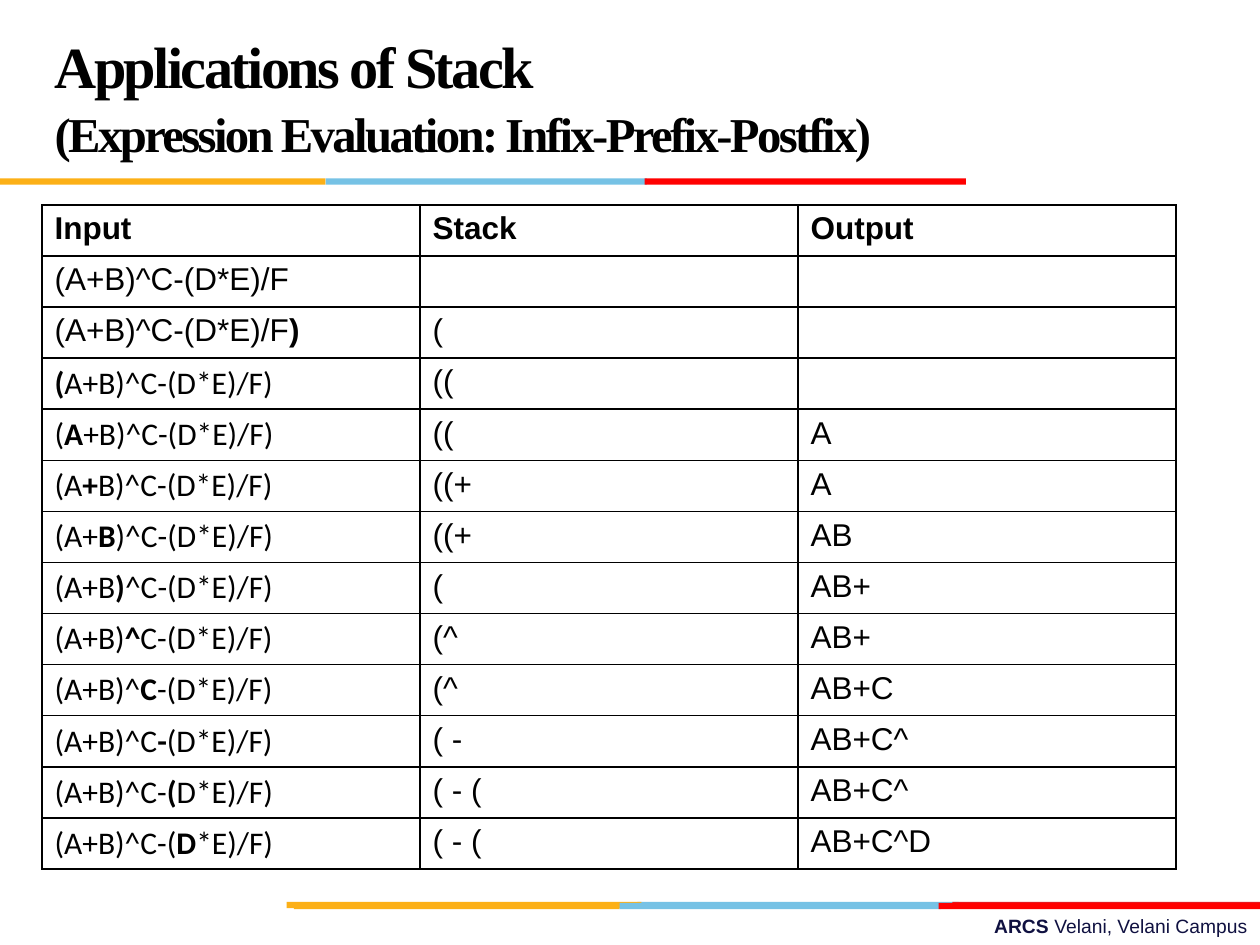
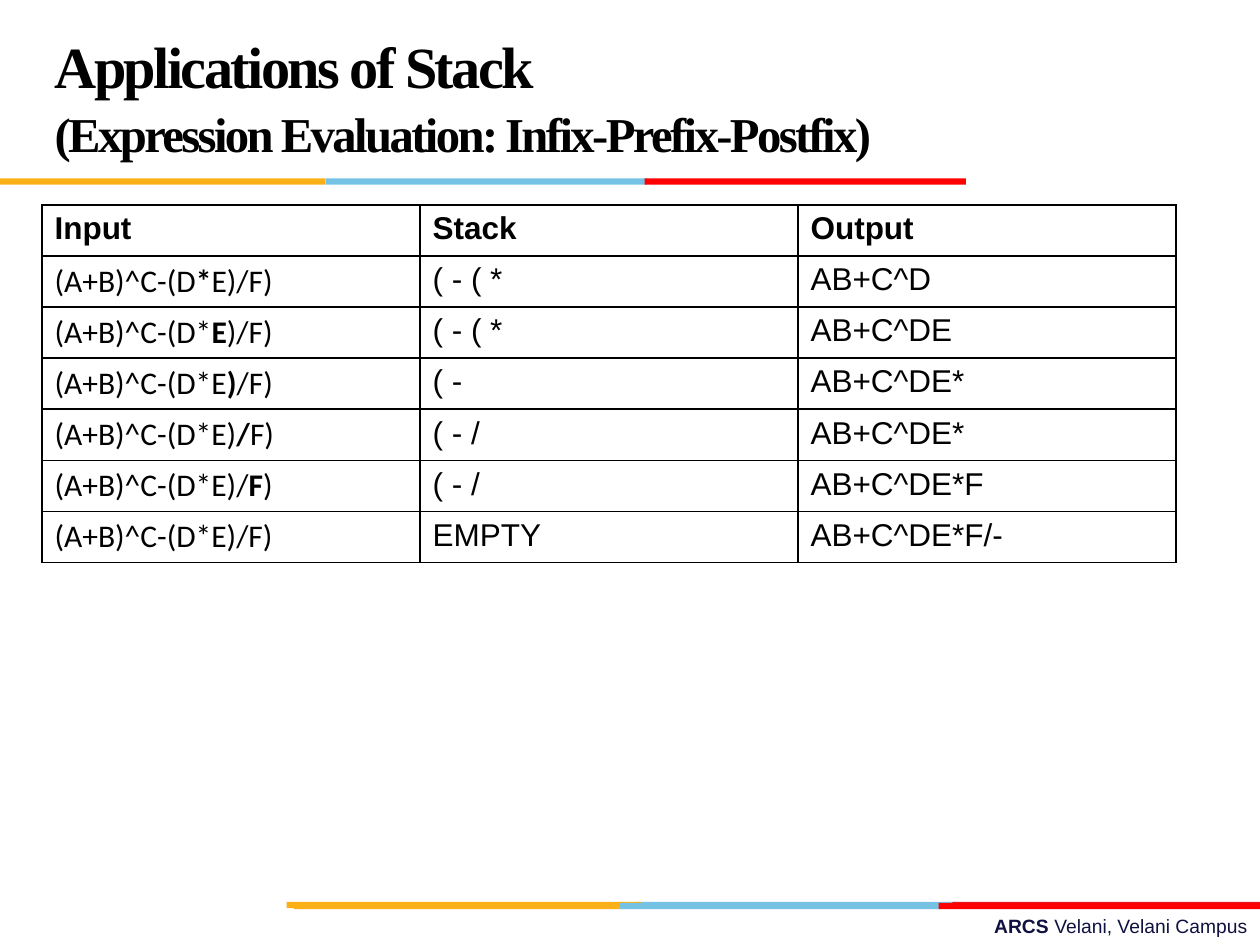
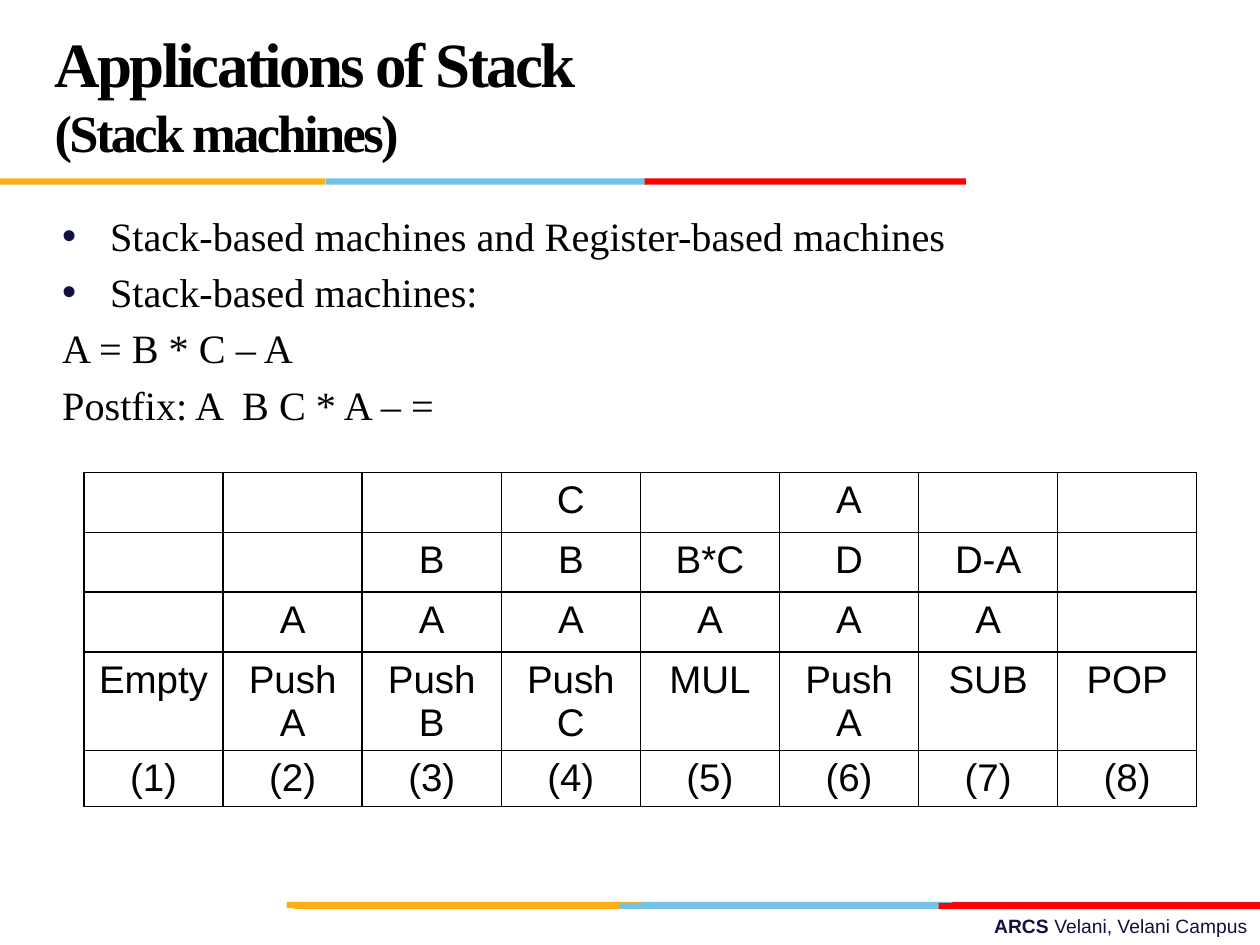
from lxml import etree
from pptx import Presentation
from pptx import util as u
from pptx.dml.color import RGBColor
from pptx.enum import shapes, text
from pptx.oxml import ns

COLUMNS, ROWS = 120, 90
CELL = u.Inches(10) // COLUMNS

BLACK, NAVY = "000000", "101141"
AMBER, SKY, RED, CRIMSON = "FCB017", "76C2E5", "FF0000", "E31C24"
SERIF, SANS, MATH = "Times New Roman", "Arial", "Calibri"

TITLE_BOX = (4, 2, 83, 15)
BODY_BOX = (4, 19.5, 108, 59.4)
STACK_BOX = (8, 45, 106, 31.7)
FOOTER_BOX = (43, 86.5, 77, 3.5)
BAND_HEIGHT = 0.6
BANDS = [
    (85.9, [(60.7, 30.6, SKY), (90.7, 29.3, CRIMSON), (27.3, 33.8, AMBER)]),
    (86, [(59, 30.6, SKY), (28, 31, AMBER), (89.4, 30.6, RED)]),
    (17, [(31, 30.6, SKY), (0, 31, AMBER), (61.4, 30.6, RED)]),
]

EXPRESSION = "(A+B)^C-(D*E)/F)"
HEADINGS = ["Input", "Stack", "Output"]
STEPS = [
    ("((", ""), ("((", "A"), ("((+", "A"), ("((+", "AB"), ("(", "AB+"),
    ("(^", "AB+"), ("(^", "AB+C"), ("( -", "AB+C^"), ("( - (", "AB+C^"),
    ("( - (", "AB+C^D"), ("( - ( *", "AB+C^D"), ("( - ( *", "AB+C^DE"),
    ("( -", "AB+C^DE*"), ("( - /", "AB+C^DE*"), ("( - /", "AB+C^DE*F"),
    ("EMPTY", "AB+C^DE*F/-"),
]
FIRST_PAGE_STEPS = 10

MACHINE_STACK = [
    ["", "", "", "C", "", "A", "", ""],
    ["", "", "B", "B", "B*C", "D", "D-A", ""],
    ["", "A", "A", "A", "A", "A", "A", ""],
    ["Empty", "Push A", "Push B", "Push C", "MUL", "Push A", "SUB", "POP"],
    [f"({number})" for number in range(1, 9)],
]
MACHINE_ROWS = [5.7, 5.7, 5.7, 9.3, 5.3]
MACHINE_POINTS = [
    ("Stack-based machines and Register-based machines", True),
    ("Stack-based machines:", True),
    ("A = B * C – A", False),
    ("Postfix: A  B C * A – =", False),
]


def grid(*lengths):
    return [round(length * CELL) for length in lengths]


def color(value):
    return RGBColor.from_string(value)


def add_child(parent, tag, **attributes):
    child = etree.SubElement(parent, ns.qn(tag))
    for key, value in attributes.items():
        child.set(key, value)
    return child


def write(paragraph, words, size, font=SANS, bold=False, ink=BLACK):
    run = paragraph.add_run()
    run.text = words
    run.font.size = u.Pt(size)
    run.font.name = font
    run.font.bold = bold
    run.font.color.rgb = color(ink)
    return run


def move(shape, box):
    shape.left, shape.top, shape.width, shape.height = grid(*box)


def add_bands(slide, top, bands):
    group = slide.shapes.add_group_shape()
    for left, width, fill in bands:
        band = group.shapes.add_shape(
            shapes.MSO_SHAPE.RECTANGLE, *grid(left, top, width, BAND_HEIGHT))
        band.shadow.inherit = False
        band.fill.solid()
        band.fill.fore_color.rgb = color(fill)
        band.line.fill.background()
    return group


def add_campus(slide, box):
    campus = slide.shapes.add_textbox(*grid(*box))
    campus.text_frame.word_wrap = True
    line = campus.text_frame.paragraphs[0]
    line.alignment = text.PP_ALIGN.RIGHT
    write(line, "ARCS ", 11, bold=True, ink=NAVY)
    write(line, "Velani, Velani Campus", 11, ink=NAVY)
    return campus


def dress_layout(layout, slide):
    for placeholder in list(layout.placeholders):
        if placeholder.placeholder_format.idx >= 10:
            layout.shapes.element.remove(placeholder.element)
    decor = [add_campus(slide, FOOTER_BOX)]
    decor += [add_bands(slide, top, bands) for top, bands in BANDS]
    for part in decor:
        layout.shapes.element.append(part.element)


def set_title(slide, subtitle, sizes):
    title = slide.shapes.title
    move(title, TITLE_BOX)
    frame = title.text_frame
    frame.auto_size = text.MSO_AUTO_SIZE.NONE
    frame.vertical_anchor = text.MSO_ANCHOR.MIDDLE
    lines = [frame.paragraphs[0], frame.add_paragraph()]
    for line, words, size in zip(lines, ["Applications of Stack", subtitle], sizes):
        line.alignment = text.PP_ALIGN.LEFT
        line.line_spacing = u.Pt(36)
        run = write(line, words, size, SERIF, bold=True)
        run.font._element.set("spc", "-150")


def set_points(slide, box, points):
    body = slide.placeholders[1]
    move(body, box)
    frame = body.text_frame
    frame.auto_size = text.MSO_AUTO_SIZE.NONE
    for index, (words, bulleted) in enumerate(points):
        line = frame.add_paragraph() if index else frame.paragraphs[0]
        line.alignment = text.PP_ALIGN.JUSTIFY
        margin, indent = (0.44, -0.38) if bulleted else (0.06, 0)
        layout = line._p.get_or_add_pPr()
        layout.set("marL", str(u.Inches(margin)))
        layout.set("indent", str(u.Inches(indent)))
        if bulleted:
            add_child(add_child(layout, "a:buClr"), "a:srgbClr", val=NAVY)
        else:
            add_child(layout, "a:buNone")
        write(line, words, 23, SERIF)


def outline(cell):
    properties = cell._tc.get_or_add_tcPr()
    for side in ("a:lnL", "a:lnR", "a:lnT", "a:lnB"):
        edge = add_child(properties, side, w=str(u.Pt(1)))
        add_child(add_child(edge, "a:solidFill"), "a:srgbClr", val=BLACK)
    cell.fill.background()


def add_grid_table(slide, box, heights, column_count):
    table = slide.shapes.add_table(len(heights), column_count, *grid(*box)).table
    table.first_row = table.horz_banding = False
    for row, height in zip(table.rows, heights):
        row.height = grid(height)[0]
    for cell in table.iter_cells():
        outline(cell)
    return table


def marked(position):
    last = len(EXPRESSION) - 1
    if position == last:
        return [(EXPRESSION, MATH, False)]
    pieces = [(EXPRESSION[:position], False), (EXPRESSION[position], True),
              (EXPRESSION[position + 1:], False)]
    return [(words, MATH, bold) for words, bold in pieces if words]


def plain(words, bold=False):
    return [(words, SANS, bold)] if words else []


def add_trace(slide, box, rows):
    left, top, width, height = box
    table = add_grid_table(slide, (left, top, width, height * len(rows)),
                           [height] * len(rows), len(HEADINGS))
    for row, entries in enumerate(rows):
        for column, runs in enumerate(entries):
            line = table.cell(row, column).text_frame.paragraphs[0]
            for words, font, bold in runs:
                write(line, words, 18, font, bold)


def add_machine(slide, box):
    table = add_grid_table(slide, box, MACHINE_ROWS, len(MACHINE_STACK[0]))
    for row, entries in enumerate(MACHINE_STACK):
        for column, words in enumerate(entries):
            line = table.cell(row, column).text_frame.paragraphs[0]
            line.alignment = text.PP_ALIGN.CENTER
            if words:
                write(line, words, 22)


def trace_slide(slide, rows):
    set_title(slide, "(Expression Evaluation: Infix-Prefix-Postfix)", (33.3, 27.8))
    body = slide.placeholders[1]
    slide.shapes.element.remove(body.element)
    heading = [plain(words, True) for words in HEADINGS]
    left, top, width, _ = BODY_BOX
    add_trace(slide, (left, top, width, 4.87), [heading] + rows)


def machine_slide(slide):
    set_title(slide, "(Stack machines)", (36, 30))
    set_points(slide, BODY_BOX, MACHINE_POINTS)
    add_machine(slide, STACK_BOX)


def main():
    deck = Presentation()
    deck.slide_width, deck.slide_height = grid(COLUMNS, ROWS)
    layout = deck.slide_layouts[1]
    first, second, third = [deck.slides.add_slide(layout) for _ in range(3)]
    dress_layout(layout, first)

    infix, closing = EXPRESSION[:-1], EXPRESSION[-1]
    opening = [
        [plain(infix), [], []],
        [plain(infix) + plain(closing, True), plain("("), []],
    ]
    steps = [[marked(position), plain(stack), plain(output)]
             for position, (stack, output) in enumerate(STEPS)]
    trace_slide(first, opening + steps[:FIRST_PAGE_STEPS])
    trace_slide(second, steps[FIRST_PAGE_STEPS:])
    machine_slide(third)
    deck.save("out.pptx")


if __name__ == "__main__":
    main()
